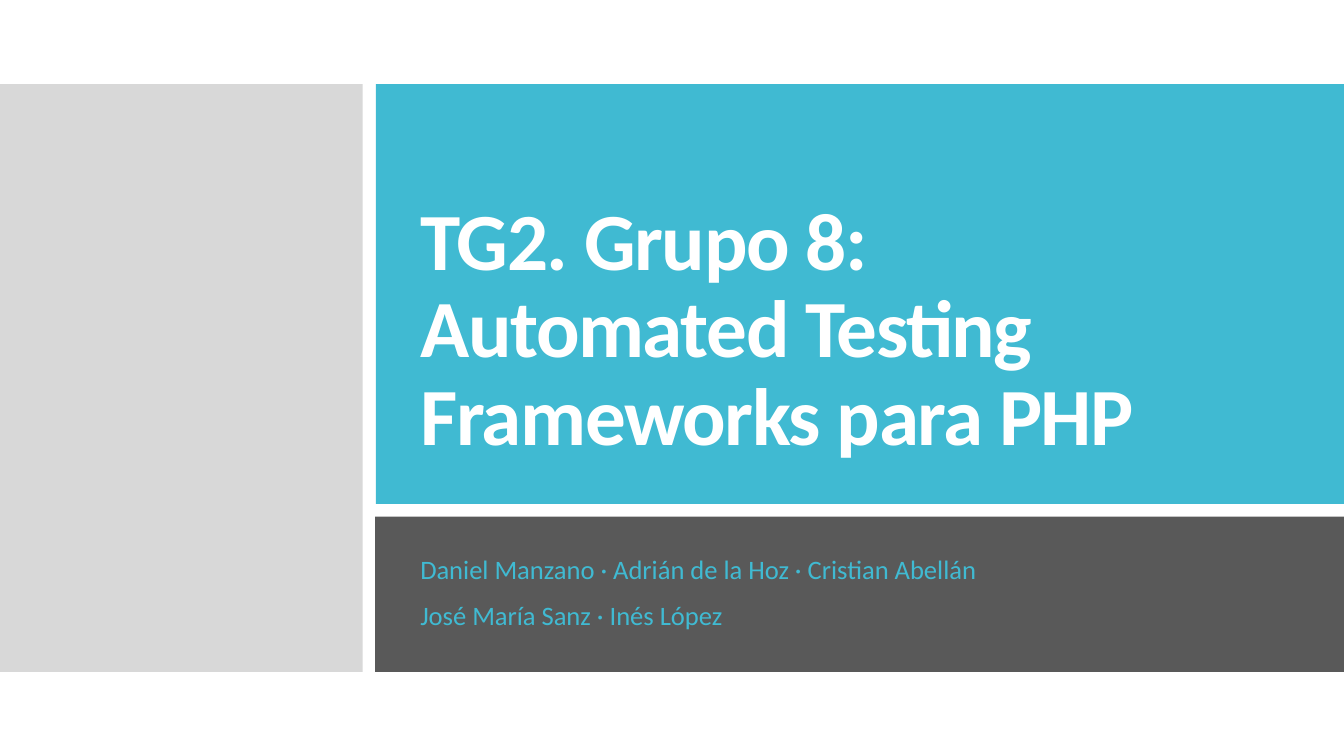
from pptx import Presentation
from pptx.dml.color import RGBColor
from pptx.enum.shapes import MSO_SHAPE
from pptx.enum.text import MSO_ANCHOR, MSO_AUTO_SIZE, PP_ALIGN
from pptx.util import Pt

RECTANGLE = MSO_SHAPE.RECTANGLE
TOP, BOTTOM = MSO_ANCHOR.TOP, MSO_ANCHOR.BOTTOM
NO_AUTOFIT = MSO_AUTO_SIZE.NONE
LEFT = PP_ALIGN.LEFT

WHITE = RGBColor(0xFF, 0xFF, 0xFF)
LIGHT_GREY = RGBColor(0xD8, 0xD8, 0xD8)
TEAL = RGBColor(0x40, 0xBA, 0xD2)
DARK_GREY = RGBColor(0x59, 0x59, 0x59)

SLIDE_WIDTH, SLIDE_HEIGHT = 960, 540
BAND_TOP, BAND_BOTTOM = 60, 480
TEXT_LEFT, TEXT_WIDTH = 293, 566

deck = Presentation()
deck.slide_width, deck.slide_height = Pt(SLIDE_WIDTH), Pt(SLIDE_HEIGHT)
page = deck.slides.add_slide(deck.slide_layouts[0])
title, subtitle = page.placeholders

# Side, title and authors panels: left, top, right, bottom, colour
panels = [
    (0, BAND_TOP, 259, BAND_BOTTOM, LIGHT_GREY),
    (268.5, BAND_TOP, SLIDE_WIDTH, 360, TEAL),
    (268, 369, SLIDE_WIDTH, BAND_BOTTOM, DARK_GREY),
]
for left, top, right, bottom, colour in panels:
    panel = page.shapes.add_shape(
        RECTANGLE, Pt(left), Pt(top), Pt(right - left), Pt(bottom - top))
    panel.shadow.inherit = False
    panel.fill.solid()
    panel.fill.fore_color.rgb = colour
    panel.line.fill.background()
    title._element.addprevious(panel._element)  # keep the text in front

# Texts: placeholder, top, height, anchor, space before, wording, font format
texts = [
    (title, 102, 232.5, BOTTOM, 0,
     "TG2. Grupo 8:\vAutomated Testing Frameworks para PHP",
     {"name": "Calibri", "size": Pt(58), "bold": True}, WHITE),
    (subtitle, 394, 60.5, TOP, 12,
     "Daniel Manzano · Adrián de la Hoz · Cristian Abellán\n"
     "José María Sanz · Inés López",
     {"name": "Calibri", "size": Pt(19), "bold": False}, TEAL),
]
for box, top, height, anchor, space_before, wording, font_format, colour in texts:
    box.left, box.top = Pt(TEXT_LEFT), Pt(top)
    box.width, box.height = Pt(TEXT_WIDTH), Pt(height)
    frame = box.text_frame
    frame.text = wording
    frame.word_wrap = True
    frame.auto_size = NO_AUTOFIT
    frame.vertical_anchor = anchor
    for para in frame.paragraphs:
        para.alignment = LEFT
        para.line_spacing = 0.9
        para.space_before = Pt(space_before)
        for span in para.runs:
            for attribute, value in font_format.items():
                setattr(span.font, attribute, value)
            span.font.color.rgb = colour

# Tighten the title's letters by one point
for span in title.text_frame.paragraphs[0].runs:
    span.font._element.set("spc", "-100")

deck.save("out.pptx")
